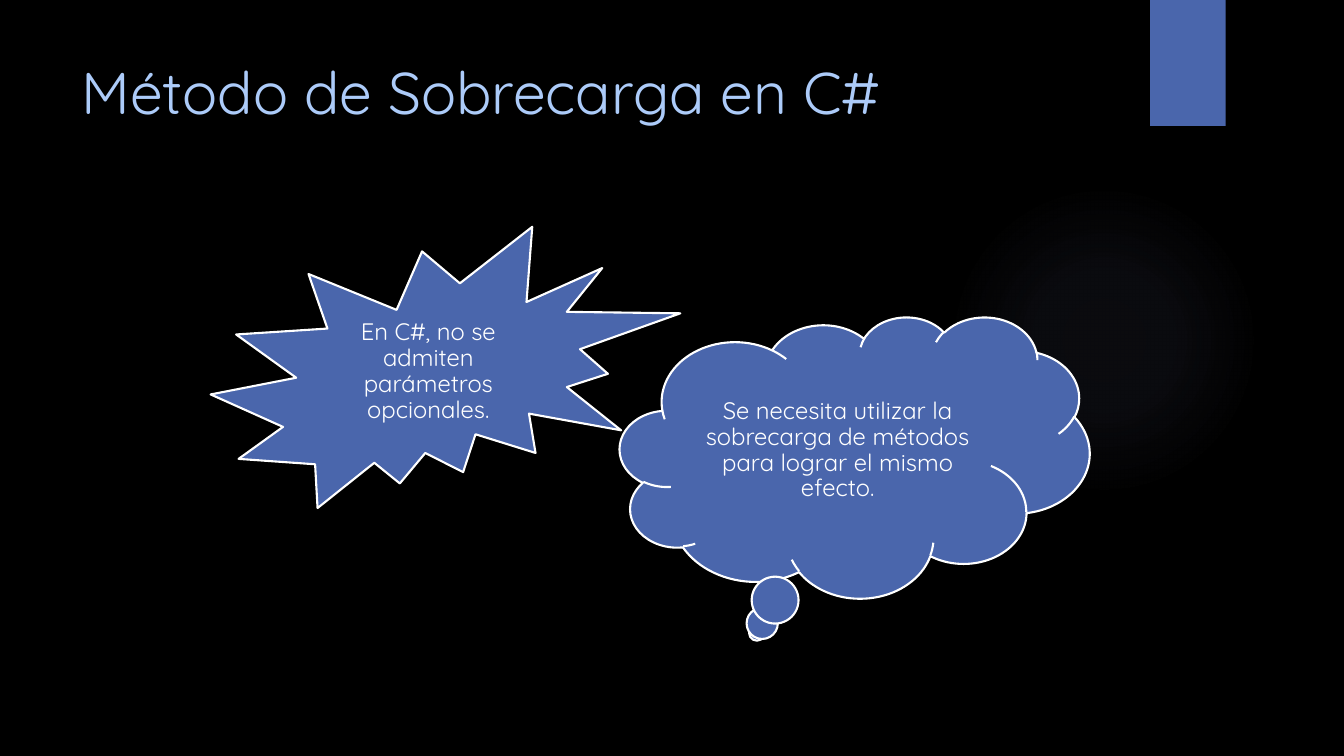
from lxml import etree
from pptx import Presentation
from pptx import util as u
from pptx.dml.color import RGBColor
from pptx.enum import shapes, text
from pptx.oxml import ns

BLUE, WHITE, SKY, GLOW = "4A66AC", "FFFFFF", "ACCBF9", "9297CF"


def add_block(parent, kind, frame, fill, outline=None):
    block = parent.add_shape(kind, *map(u.Pt, frame))
    block.shadow.inherit = False
    block.fill.solid()
    block.fill.fore_color.rgb = RGBColor.from_string(fill)
    if outline:
        block.line.color.rgb = RGBColor.from_string(outline)
        block.line.width = u.Pt(1.5)
    else:
        block.line.fill.background()
    return block


def write(box, words, size, color, align, anchor, spacing):
    frame = box.text_frame
    frame.word_wrap = True
    frame.auto_size = text.MSO_AUTO_SIZE.NONE
    frame.vertical_anchor = anchor
    para = frame.paragraphs[0]
    para.alignment = align
    para.line_spacing = spacing
    span = para.add_run()
    span.text = words
    formats = {"name": "Quicksand", "size": u.Pt(size), "bold": False}
    for name, value in formats.items():
        setattr(span.font, name, value)
    span.font.color.rgb = RGBColor.from_string(color)


# Slide on black
deck = Presentation()
deck.slide_width, deck.slide_height = u.Pt(960), u.Pt(540)
page = deck.slides.add_slide(deck.slide_layouts[5])
page.background.fill.solid()
page.background.fill.fore_color.rgb = RGBColor.from_string("000000")

# Soft round glow
glow = add_block(page.shapes, shapes.MSO_SHAPE.OVAL, (677.5, 131.8, 221.8, 221.8), GLOW)
solid = glow.element.spPr.find(ns.qn("a:solidFill"))
gradient = etree.Element(ns.qn("a:gradFill"), rotWithShape="1")
stops = etree.SubElement(gradient, ns.qn("a:gsLst"))
for position, alpha in ((0, 7), (36, 6), (69, 0)):
    stop = etree.SubElement(stops, ns.qn("a:gs"), pos=str(position * 1000))
    tint = etree.SubElement(stop, ns.qn("a:srgbClr"), val=GLOW)
    etree.SubElement(tint, ns.qn("a:alpha"), val=str(alpha * 1000))
circle = etree.SubElement(gradient, ns.qn("a:path"), path="circle")
etree.SubElement(circle, ns.qn("a:fillToRect"), l="50000", t="50000", r="50000", b="50000")
solid.getparent().replace(solid, gradient)

# Corner tab
add_block(page.shapes, shapes.MSO_SHAPE.RECTANGLE, (821.5, 0, 54, 90), BLUE)

# Title
title = page.shapes.title
place = {"left": 51.1, "top": 36, "width": 740.9, "height": 110.2}
for name, value in place.items():
    setattr(title, name, u.Pt(value))
write(title, "Método de Sobrecarga en C#", 42, SKY,
      text.PP_ALIGN.LEFT, text.MSO_ANCHOR.TOP, 1)

# Burst and cloud, each grouped with its text
callouts = (
    (shapes.MSO_SHAPE.EXPLOSION2, (150.5, 162), (234, 221, 144, 89.3),
     "En C#, no se admiten parámetros opcionales."),
    (shapes.MSO_SHAPE.CLOUD_CALLOUT, (442.8, 226.1), (488.9, 256.3, 218.9, 131),
     "Se necesita utilizar la sobrecarga de métodos para lograr el mismo efecto."),
)
for kind, corner, label_frame, words in callouts:
    group = page.shapes.add_group_shape()
    add_block(group.shapes, kind, (*corner, 335.5, 200.9), BLUE, WHITE)
    label = group.shapes.add_textbox(*map(u.Pt, label_frame))
    for side in ("left", "top", "right", "bottom"):
        setattr(label.text_frame, f"margin_{side}", u.Pt(5))
    write(label, words, 17, WHITE, text.PP_ALIGN.CENTER, text.MSO_ANCHOR.MIDDLE, 0.9)

deck.save("out.pptx")
